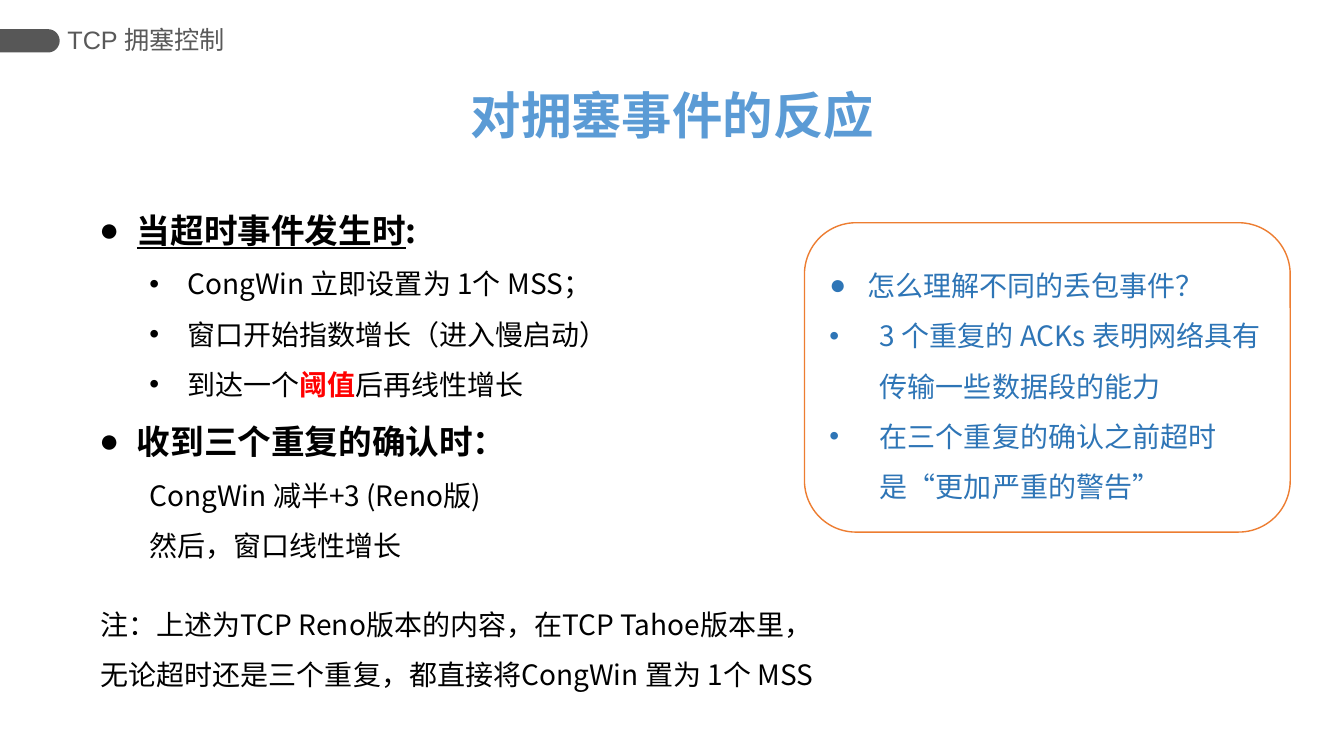
from dataclasses import dataclass
from math import cos, pi, sin

from lxml.etree import SubElement
from pptx import Presentation
from pptx.dml.color import RGBColor as RGB
from pptx.enum.shapes import MSO_SHAPE as Kind
from pptx.enum.text import MSO_ANCHOR as Anchor, PP_ALIGN as Align
from pptx.oxml.ns import qn
from pptx.util import Pt


@dataclass(frozen=True)
class Theme:
    ink: str = "000000"
    bar: str = "575757"
    label: str = "595959"
    title: str = "5B9BD5"
    ask: str = "2E75B6"
    edge: str = "ED7D31"
    alert: str = "FF0000"
    latin: str = "Arial"
    han: str = "Noto Sans CJK SC"
    small: int = 18
    body: int = 20
    head: int = 24
    top: int = 36


def run(text, **form):
    """A piece of text with its format."""
    return text, form


def para(*runs, left=0, hang=0, mark=None, level=0, **form):
    """A paragraph; form holds for all its runs unless they override it."""
    return runs, left, hang, mark, level, form


class Deck:
    def __init__(self, theme):
        self.theme = theme
        self.file = Presentation()
        self.file.slide_width, self.file.slide_height = Pt(960), Pt(540)
        self.slide = self.file.slides.add_slide(self.file.slide_layouts[6])

    def bar(self, top, tall, wide):
        """Tab at the left edge with a round right end."""
        rad = tall / 2
        mid = wide - rad
        turns = [pi * (i / 24 - 0.5) for i in range(25)]
        arc = [(Pt(mid + rad * cos(t)), Pt(top + rad + rad * sin(t)))
               for t in turns]
        form = self.slide.shapes.build_freeform(0, Pt(top))
        form.add_line_segments(arc + [(0, Pt(top + tall))], close=True)
        shape = form.convert_to_shape()
        shape.shadow.inherit = False
        shape.fill.solid()
        shape.fill.fore_color.rgb = RGB.from_string(self.theme.bar)
        shape.line.fill.background()

    def text(self, box, paras, wrap=True, anchor=Anchor.TOP, side=7.2):
        shape = self.slide.shapes.add_textbox(*map(Pt, box))
        self.fill(shape.text_frame, paras, wrap, anchor, side)

    def panel(self, box, paras, edge=None):
        """Rounded box, outlined when an edge colour is given."""
        shape = self.slide.shapes.add_shape(Kind.ROUNDED_RECTANGLE,
                                            *map(Pt, box))
        shape.shadow.inherit = False
        shape.fill.background()
        if edge:
            shape.line.color.rgb = RGB.from_string(edge)
            shape.line.width = Pt(1)
        else:
            shape.line.fill.background()
        self.fill(shape.text_frame, paras, True, Anchor.MIDDLE, 7.2)

    def fill(self, frame, paras, wrap, anchor, side):
        frame.word_wrap = wrap
        frame.vertical_anchor = anchor
        frame.margin_left = frame.margin_right = Pt(side)
        for i, (runs, left, hang, mark, level, form) in enumerate(paras):
            item = frame.add_paragraph() if i else frame.paragraphs[0]
            self.place(item, left, hang, mark, level, **form)
            for words, own in runs:
                self.piece(item, words, **{**form, **own})

    def place(self, item, left, hang, mark, level, align=Align.LEFT,
              space=1.5, **rest):
        item.alignment, item.line_spacing = align, space
        item.level = level
        prop = item._p.get_or_add_pPr()
        prop.set("marL", str(Pt(left)))
        prop.set("indent", str(-Pt(hang)))
        if mark:
            SubElement(prop, qn("a:buFont"), typeface=self.theme.latin)
            SubElement(prop, qn("a:buChar"), char=mark)
        else:
            SubElement(prop, qn("a:buNone"))

    def piece(self, item, words, size=None, color=None, font=None,
              bold=False, line=False, **rest):
        part = item.add_run()
        part.text = words
        face = part.font
        face.size = Pt(size or self.theme.body)
        face.bold, face.underline = bold, line
        face.color.rgb = RGB.from_string(color or self.theme.ink)
        face.name = font or self.theme.han
        SubElement(part._r.get_or_add_rPr(), qn("a:ea"),
                   typeface=self.theme.han)


def main():
    look = Theme()
    deck = Deck(look)

    # Section label
    deck.bar(20.9, 16.6, 42.6)
    deck.text((48.2, 13.7, 167.8, 29.5),
              [para(run("TCP 拥塞控制"), size=look.small, color=look.label,
                    font=look.latin, space=1)],
              anchor=Anchor.MIDDLE, side=0)

    # Title
    deck.text((327.6, 56.2, 305.3, 51.1),
              [para(run("对拥塞事件的反应"), size=look.top, color=look.title,
                    font=look.latin, bold=True, space=1, align=Align.CENTER)],
              wrap=False)

    # Question panel
    blue = dict(color=look.ask)
    point = dict(left=36, hang=36, mark="•", **blue)
    deck.panel((574.6, 159.1, 347, 221), [
        para(run(" 怎么理解不同的丢包事件？"), left=22.5, hang=22.5,
             mark="●", **blue),
        para(run("3 个重复的 ACKs 表明网络具有传输一些数据段的能力"), **point),
        para(run("在三个重复的确认之前超时是“更加严重的警告”"), **point),
    ], edge=look.edge)

    # Reactions to each event
    head = dict(left=27, hang=27, mark="●", size=look.head, bold=True)
    step = dict(left=63, hang=27, mark="•", level=1)
    plain = dict(left=36, level=1)
    deck.panel((48.2, 109.4, 460.8, 318.2), [
        para(run("当超时事件发生时", line=True), run(":"), **head),
        para(run("CongWin 立即设置为 1个 MSS；"), **step),
        para(run("窗口开始指数增长（进入慢启动）"), **step),
        para(run("到达一个"), run("阈值", color=look.alert, bold=True),
             run("后再线性增长"), **step),
        para(run("收到三个重复的确认时："), **head),
        para(run("CongWin 减半+3 (Reno版)"), **plain),
        para(run("然后，窗口线性增长"), **plain),
    ])

    # Note on versions
    deck.text((28.8, 418.3, 577.4, 75.6), [
        para(run("注：上述为TCP Reno版本的内容，在TCP Tahoe版本里，"), **plain),
        para(run("无论超时还是三个重复，都直接将CongWin 置为 1个 MSS"), **plain),
    ])

    deck.file.save("out.pptx")


if __name__ == "__main__":
    main()
